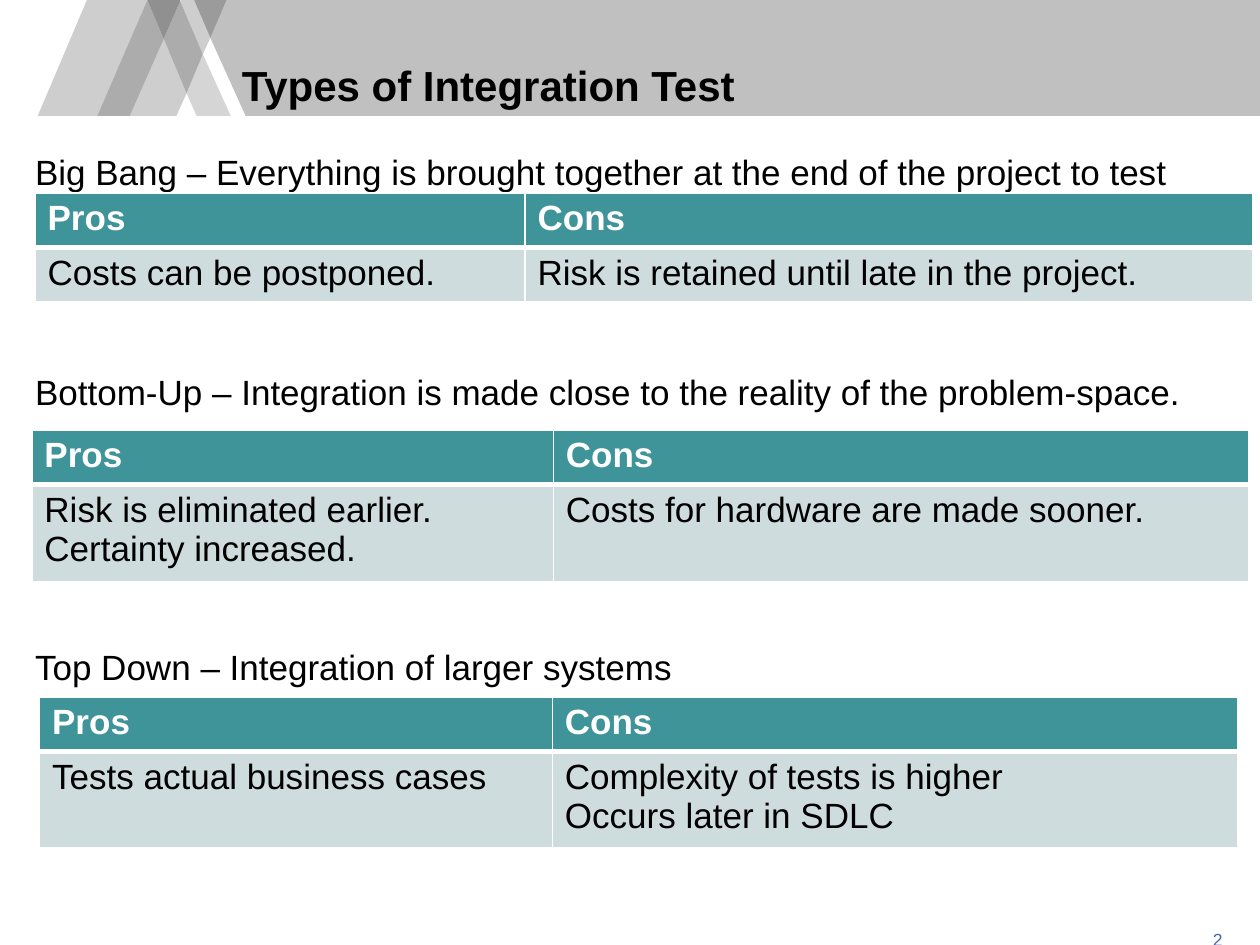
from dataclasses import dataclass

from lxml import etree
from pptx import Presentation
from pptx.dml.color import RGBColor
from pptx.enum import text
from pptx.oxml import ns
from pptx.util import Pt


@dataclass(frozen=True)
class Theme:
    """Hold the colours and type sizes of the slide."""
    font: str = "Arial"
    black: str = "000000"
    white: str = "FFFFFF"
    banner: str = "C1C0C0"
    pale: str = "D5D5D5"
    light: str = "CECECE"
    medium: str = "ACACAC"
    dark: str = "9B9B9B"
    darkest: str = "909090"
    header: str = "3F949A"
    body: str = "CFDCDE"
    number: str = "4764B0"
    title_size: float = 24
    body_size: float = 20
    number_size: float = 10


THEME = Theme()

BANNER_BOTTOM = 66.2

EMBLEM = [
    (THEME.banner, [(120.2, 21.6), (140.4, BANNER_BOTTOM), (720, BANNER_BOTTOM), (720, 0), (128.9, 0)]),
    (THEME.pale, [(115.9, 31), (106.6, 53.3), (112.3, BANNER_BOTTOM), (131.8, BANNER_BOTTOM)]),
    (THEME.light, [(110.9, 0), (103, 0), (103, 0.7), (115.9, 31), (120.2, 21.6)]),
    (THEME.light, [(93.6, 22.3), (74.2, BANNER_BOTTOM), (100.8, BANNER_BOTTOM), (106.6, 53.3)]),
    (THEME.light, [(84.2, 0), (49.7, 0), (21.6, BANNER_BOTTOM), (56.2, BANNER_BOTTOM)]),
    (THEME.dark, [(129.4, 0), (110.9, 0), (120.2, 21.6)]),
    (THEME.medium, [(103, 0.7), (93.6, 22.3), (106.6, 53.3), (115.9, 31)]),
    (THEME.medium, [(84.2, 0), (55.7, BANNER_BOTTOM), (74.2, BANNER_BOTTOM), (93.6, 22.3)]),
    (THEME.darkest, [(103, 0), (84.2, 0), (93.6, 22.3), (103, 0.7)]),
]

# heading, heading top, table left, table top, column widths, pros, cons
SECTIONS = [
    ("Big Bang – Everything is brought together at the end of the project to test", 83,
     20, 110.2, (280, 415.8), "Costs can be postponed.",
     "Risk is retained until late in the project."),
    ("Bottom-Up – Integration is made close to the reality of the problem-space.", 209,
     18.2, 245.7, (298, 397.6), "Risk is eliminated earlier.\nCertainty increased.",
     "Costs for hardware are made sooner."),
    ("Top Down – Integration of larger systems", 366,
     22.6, 398.2, (293, 392), "Tests actual business cases",
     "Complexity of tests is higher\nOccurs later in SDLC"),
]


def format_text(text_frame, size, color, bold=False):
    """Give every run the same font, size, colour and weight."""
    for paragraph in text_frame.paragraphs:
        for run in paragraph.runs:
            run.font.name = THEME.font
            run.font.size = Pt(size)
            run.font.bold = bold
            run.font.color.rgb = RGBColor.from_string(color)


def add_polygon(slide, color, points):
    """Add a closed, filled outline without a line."""
    corners = [(Pt(x), Pt(y)) for x, y in points]
    builder = slide.shapes.build_freeform(*corners[0])
    builder.add_line_segments(corners[1:], close=True)
    shape = builder.convert_to_shape()
    shape.shadow.inherit = False
    shape.fill.solid()
    shape.fill.fore_color.rgb = RGBColor.from_string(color)
    shape.line.fill.background()


def add_label(slide, words, box, size, color, bold=False,
              anchor=text.MSO_ANCHOR.MIDDLE, align=text.PP_ALIGN.LEFT):
    """Add a text box without margins."""
    text_frame = slide.shapes.add_textbox(*map(Pt, box)).text_frame
    text_frame.word_wrap = True
    text_frame.vertical_anchor = anchor
    text_frame.margin_left = text_frame.margin_right = 0
    text_frame.margin_top = text_frame.margin_bottom = 0
    text_frame.text = words
    text_frame.paragraphs[0].alignment = align
    format_text(text_frame, size, color, bold)


def set_borders(cell, widths):
    """Draw white cell borders with the given left, right, top and bottom widths."""
    properties = cell._tc.get_or_add_tcPr()
    for index, (edge, width) in enumerate(zip("LRTB", widths)):
        line = etree.Element(ns.qn(f"a:ln{edge}"), w=str(Pt(width)))
        fill = etree.SubElement(line, ns.qn("a:solidFill"))
        etree.SubElement(fill, ns.qn("a:srgbClr"), val=THEME.white)
        properties.insert(index, line)


def add_comparison(slide, left, top, widths, pros, cons):
    """Add a table of pros and cons with a coloured header row."""
    line_count = max(pros.count("\n"), cons.count("\n")) + 1
    heights = [22 * lines + 7.2 for lines in (1, line_count)]
    table = slide.shapes.add_table(
        2, 2, Pt(left), Pt(top), Pt(sum(widths)), Pt(sum(heights))).table
    for column, width in zip(table.columns, widths):
        column.width = Pt(width)
    rows = [
        (("Pros", "Cons"), THEME.header, THEME.white, True, (1, 1, 1, 3)),
        ((pros, cons), THEME.body, THEME.black, False, (1, 1, 3, 1)),
    ]
    for row, height, (words, fill, color, bold, borders) in zip(table.rows, heights, rows):
        row.height = Pt(height)
        for cell, content in zip(row.cells, words):
            cell.text_frame.text = content
            format_text(cell.text_frame, THEME.body_size, color, bold)
            cell.fill.solid()
            cell.fill.fore_color.rgb = RGBColor.from_string(fill)
            set_borders(cell, borders)


def main():
    """Build the slide and save it."""
    presentation = Presentation()
    presentation.slide_width, presentation.slide_height = Pt(720), Pt(540)
    slide = presentation.slides.add_slide(presentation.slide_layouts[6])
    for color, points in EMBLEM:
        add_polygon(slide, color, points)
    add_label(slide, "Types of Integration Test", (138.2, 5.8, 460.8, 57),
              THEME.title_size, THEME.black, True, text.MSO_ANCHOR.BOTTOM)
    for heading, heading_top, *comparison in SECTIONS:
        add_label(slide, heading, (20, heading_top, 680, 30), THEME.body_size, THEME.black)
        add_comparison(slide, *comparison)
    add_label(slide, "2", (642.2, 527.8, 56.4, 18), THEME.number_size, THEME.number,
              align=text.PP_ALIGN.RIGHT)
    presentation.save("out.pptx")


if __name__ == "__main__":
    main()
